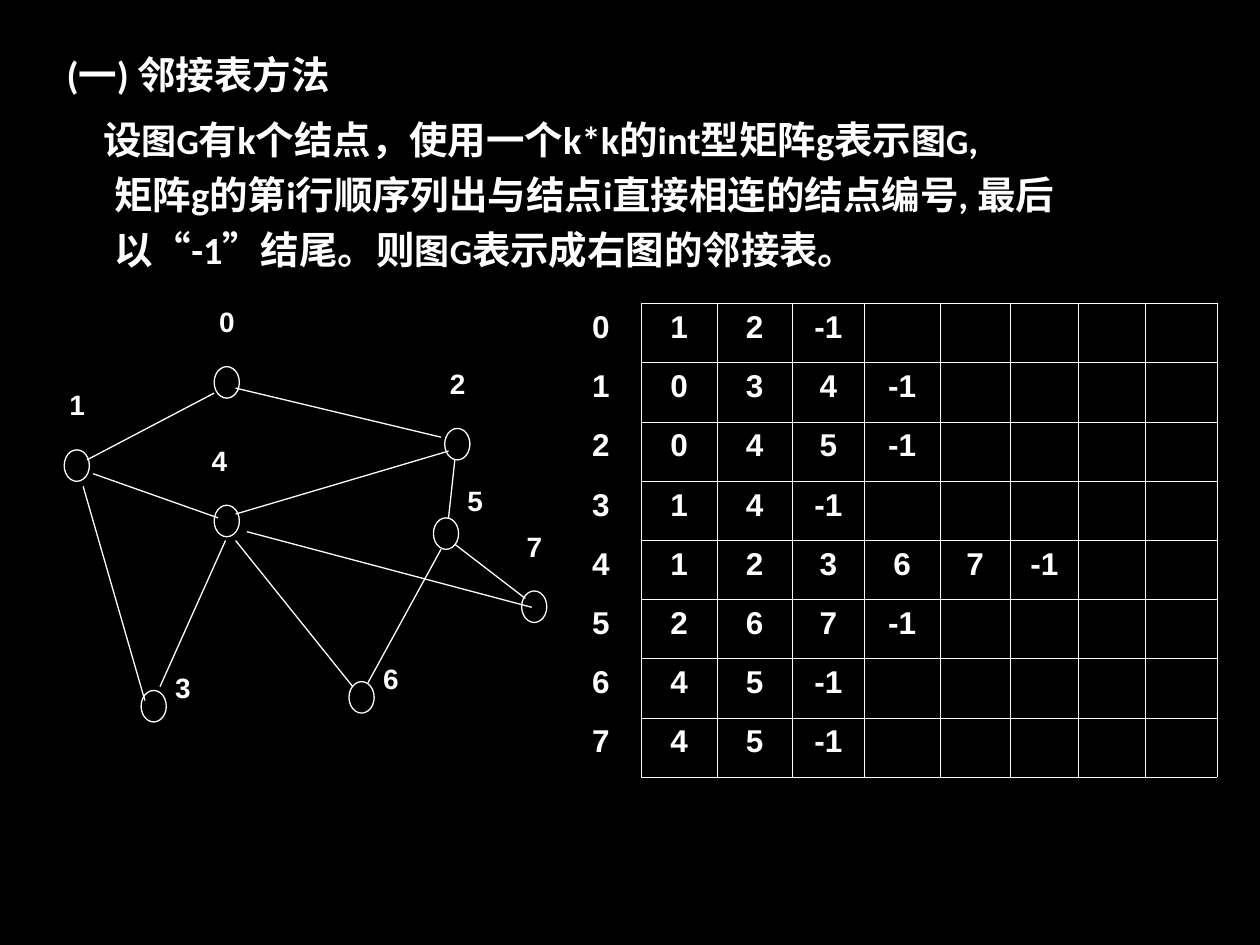
from typing import NamedTuple

from lxml.etree import SubElement
from pptx import Presentation
from pptx.dml.color import RGBColor
from pptx.enum.shapes import MSO_CONNECTOR, MSO_SHAPE
from pptx.enum.text import PP_ALIGN
from pptx.oxml.ns import qn
from pptx.util import Inches, Pt

COLORS = {"background": "000000", "ink": "FFFFFF"}
BODY = {"name": "Calibri", "size": Pt(22), "bold": True}
SMALL = {**BODY, "size": Pt(20)}
QUOTE = {**BODY, "name": "Arial"}
CELL = {"name": "Arial", "size": Pt(18), "bold": True}
LABEL = {**CELL, "size": Pt(16)}
LABEL_FRAME = {
    "margin_left": Inches(0.01),
    "margin_right": Inches(0.01),
    "margin_top": Inches(0.01),
    "margin_bottom": Inches(0.01),
    "word_wrap": True,
}


class Node(NamedTuple):
    name: str
    x: float
    y: float
    dx: float = 0.03
    dy: float = -0.5


class Edge(NamedTuple):
    x1: float
    y1: float
    x2: float
    y2: float


class Span(NamedTuple):
    text: str
    fmt: dict


class Para(NamedTuple):
    indent: float
    before: float
    lines: list


PARAS = [
    Para(-0.38, 0, [[Span("(一) 邻接表方法", BODY)]]),
    Para(-0.09, 5.5, [
        [
            Span("设", BODY),
            Span("图G", SMALL),
            Span("有k个结点，使用一个k*k的int型矩阵g表示", BODY),
            Span("图G", SMALL),
            Span(",", BODY),
        ],
        [
            Span("矩阵g的第i行顺序列出与结点i直接相连的结点编号, 最后以", BODY),
            Span("“", QUOTE),
            Span("-1", BODY),
            Span("”", QUOTE),
            Span("结尾。则", BODY),
            Span("图G", SMALL),
            Span("表示成右图的邻接表。", BODY),
        ],
    ]),
]

NODES = [
    Node("0", 1.7, 2.91),
    Node("4", 1.7, 4.01, dx=-0.03),
    Node("3", 1.12, 5.48, 0.26, -0.17),
    Node("1", 0.51, 3.57),
    Node("6", 2.77, 5.41, 0.26, -0.17),
    Node("7", 4.14, 4.69),
    Node("5", 3.44, 4.11, 0.26, -0.28),
    Node("2", 3.53, 3.4),
]
EDGES = [
    Edge(1.7, 3.12, 0.69, 3.65),
    Edge(1.87, 3.08, 3.5, 3.47),
    Edge(0.74, 3.76, 1.73, 4.11),
    Edge(0.66, 3.86, 1.15, 5.56),
    Edge(1.27, 5.45, 1.79, 4.29),
    Edge(1.87, 4.08, 3.56, 3.58),
    Edge(1.96, 4.22, 4.22, 4.82),
    Edge(1.87, 4.29, 2.8, 5.45),
    Edge(3.5, 4.36, 2.92, 5.42),
    Edge(3.61, 3.65, 3.56, 4.11),
    Edge(3.61, 4.32, 4.17, 4.75),
]
NEIGHBOURS = [
    [1, 2], [0, 3, 4], [0, 4, 5], [1, 4],
    [1, 2, 3, 6, 7], [2, 6, 7], [4, 5], [4, 5],
]
COL_WIDTHS = [0.64, 0.6, 0.6, 0.57, 0.6, 0.56, 0.54, 0.53, 0.57]
ROW_HEIGHT = 0.47


def rgb(key: str) -> RGBColor:
    return RGBColor.from_string(COLORS[key])


def apply(obj, values: dict) -> None:
    for key, value in values.items():
        setattr(obj, key, value)


def add_run(p, text: str, fmt: dict) -> None:
    r = p.add_run()
    r.text = text
    apply(r.font, fmt)
    r.font.color.rgb = rgb("ink")


def add_body(s) -> None:
    sp = s.shapes.add_textbox(Inches(0.43), Inches(0.28), Inches(9.23), Inches(1.97))
    tf = sp.text_frame
    tf.word_wrap = True
    for i, para in enumerate(PARAS):
        p = tf.add_paragraph() if i else tf.paragraphs[0]
        apply(p, {"line_spacing": 1.2, "space_before": Pt(para.before)})
        pPr = p._p.get_or_add_pPr()
        pPr.set("marL", str(Inches(0.38)))
        pPr.set("indent", str(Inches(para.indent)))
        for j, line in enumerate(para.lines):
            if j:
                p.add_line_break()
            for span in line:
                add_run(p, span.text, span.fmt)


def set_borders(cell, visible: str) -> None:
    tcPr = cell._tc.get_or_add_tcPr()
    for side in "LRTB":
        ln = SubElement(tcPr, qn(f"a:ln{side}"), w=str(Pt(0.45)))
        if side in visible:
            fill = SubElement(ln, qn("a:solidFill"))
            SubElement(fill, qn("a:srgbClr"), val=COLORS["ink"])
        else:
            SubElement(ln, qn("a:noFill"))


def add_adjacency_table(s) -> None:
    rows, cols = len(NEIGHBOURS), len(COL_WIDTHS)
    table = s.shapes.add_table(
        rows, cols, Inches(4.45), Inches(2.41),
        Inches(sum(COL_WIDTHS)), Inches(ROW_HEIGHT * rows),
    ).table
    apply(table, {"first_row": False, "horz_banding": False})
    for column, width in zip(table.columns, COL_WIDTHS):
        column.width = Inches(width)
    for i, linked in enumerate(NEIGHBOURS):
        table.rows[i].height = Inches(ROW_HEIGHT)
        values = [i, *linked, -1]
        for j in range(cols):
            cell = table.cell(i, j)
            set_borders(cell, "LRTB" if j else "R")
            cell.fill.background()
            p = cell.text_frame.paragraphs[0]
            p.alignment = PP_ALIGN.CENTER
            if j < len(values):
                add_run(p, str(values[j]), CELL)


def style_line(sp) -> None:
    sp.line.color.rgb = rgb("ink")
    sp.line.width = Pt(0.75)


def add_node(shapes, node: Node) -> None:
    sp = shapes.add_shape(
        MSO_SHAPE.OVAL, Inches(node.x), Inches(node.y), Inches(0.2), Inches(0.25))
    sp.shadow.inherit = False
    sp.fill.background()
    style_line(sp)
    label = shapes.add_textbox(
        Inches(node.x + node.dx), Inches(node.y + node.dy), Inches(0.52), Inches(0.57))
    tf = label.text_frame
    apply(tf, LABEL_FRAME)
    p = tf.paragraphs[0]
    p.alignment = PP_ALIGN.JUSTIFY
    add_run(p, node.name, LABEL)


def add_edge(shapes, edge: Edge) -> None:
    sp = shapes.add_connector(MSO_CONNECTOR.STRAIGHT, *map(Inches, edge))
    style_line(sp)
    SubElement(sp._element.spPr, qn("a:effectLst"))


def main() -> None:
    prs = Presentation()
    apply(prs, {"slide_width": Inches(10), "slide_height": Inches(7.5)})
    s = prs.slides.add_slide(prs.slide_layouts[6])
    s.background.fill.solid()
    s.background.fill.fore_color.rgb = rgb("background")
    add_body(s)
    add_adjacency_table(s)
    graph = s.shapes.add_group_shape().shapes
    for node in NODES:
        add_node(graph, node)
    for edge in EDGES:
        add_edge(graph, edge)
    prs.save("out.pptx")


if __name__ == "__main__":
    main()
